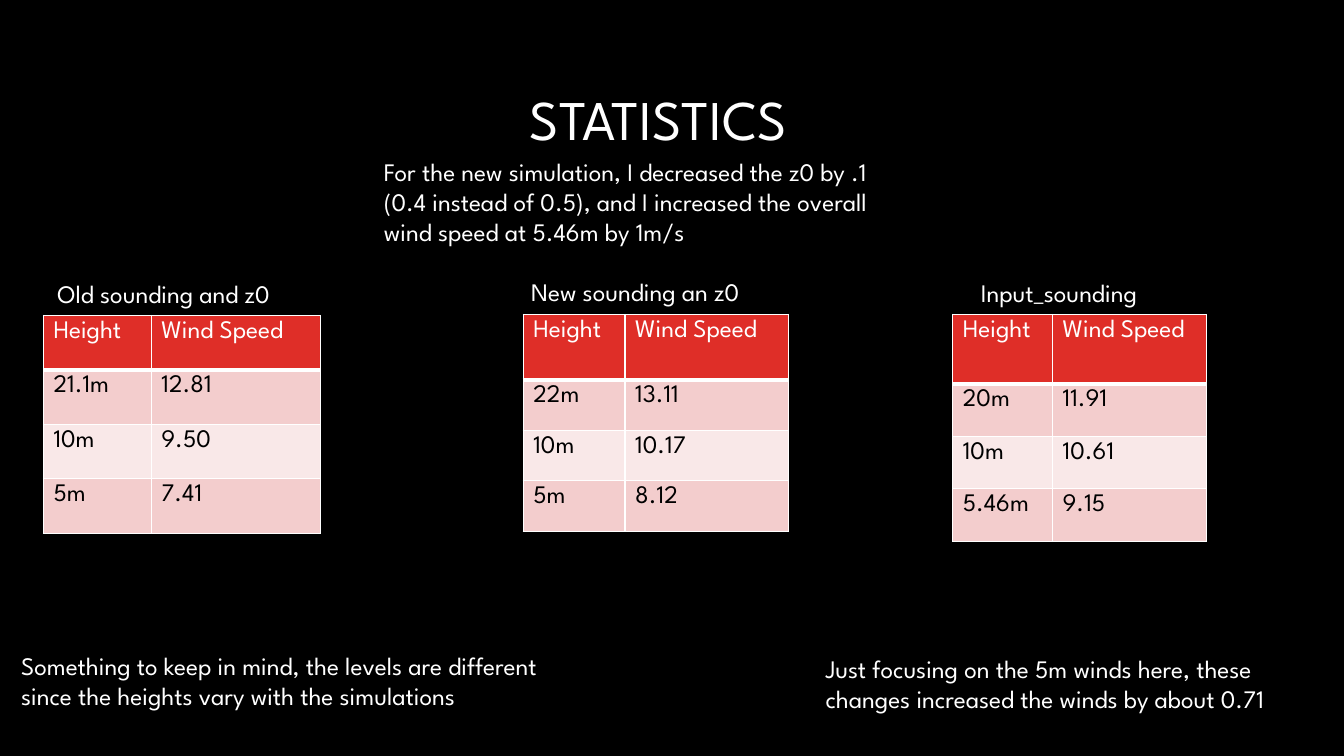
"""Build a slide comparing wind speeds from three soundings."""
from dataclasses import dataclass

import pptx
import pptx.dml.color
import pptx.enum.text
import pptx.oxml
import pptx.oxml.ns
import pptx.util


@dataclass(frozen=True)
class Theme:
    """Hold the colours, font and type sizes."""
    font: str = "League Spartan"
    title: int = 40
    body: int = 18
    back: str = "000000"
    light: str = "FFFFFF"
    dark: str = "000000"
    header: str = "DF2E28"
    bands: tuple = ("F3CDCD", "F9E8E8")


THEME = Theme()
WIDTH = pptx.util.Inches(13.33)
HEIGHT = pptx.util.Inches(7.5)
ALIGN = pptx.enum.text.PP_ALIGN
ANCHOR = pptx.enum.text.MSO_ANCHOR
FIT = pptx.enum.text.MSO_AUTO_SIZE.SHAPE_TO_FIT_TEXT

CAPTIONS = [
    ("Old sounding and z0", (3.53, 36.13, 21.6, 5.33)),
    ("New sounding an z0", (38.78, 35.87, 19.88, 5.33)),
    ("Input_sounding", (72.24, 36, 16.28, 5.33)),
]
NOTES = [
    ("For the new simulation, I decreased the z0 by .1 (0.4 instead of 0.5), "
     "and I increased the overall wind speed at 5.46m by 1m/s",
     (27.83, 20, 39.83, 13.47)),
    ("Something to keep in mind, the levels are different since the heights "
     "vary with the simulations", (0.83, 85.33, 41.56, 13.47)),
    ("Just focusing on the 5m winds here, these changes increased the winds "
     "by about 0.71", (60.69, 85.73, 39.31, 13.47)),
]
HEADINGS = ("Height", "Wind Speed")
TABLES = [
    ((3.23, 41.73), (8.03, 12.6), (7.2, 7.2),
     [("21.1m", "12.81"), ("10m", "9.50"), ("5m", "7.41")]),
    ((38.93, 41.6), (7.58, 12.15), (8.67, 6.67),
     [("22m", "13.11"), ("10m", "10.17"), ("5m", "8.12")]),
    ((70.89, 41.6), (7.43, 11.48), (9.2, 6.93),
     [("20m", "11.91"), ("10m", "10.61"), ("5.46m", "9.15")]),
]


def across(percent):
    """Return a share of the slide width."""
    return int(WIDTH * percent / 100)


def down(percent):
    """Return a share of the slide height."""
    return int(HEIGHT * percent / 100)


def rgb(code):
    """Return a colour from its hex code."""
    return pptx.dml.color.RGBColor.from_string(code)


def add_run(p, text, size, color):
    """Add one styled run to a paragraph."""
    r = p.add_run()
    r.text = text
    r.font.name = THEME.font
    r.font.size = pptx.util.Pt(size)
    r.font.color.rgb = rgb(color)


def add_text(s, text, box, size=THEME.body):
    """Add a wrapped text box and return its text frame."""
    x, y, w, h = box
    sp = s.shapes.add_textbox(across(x), down(y), across(w), down(h))
    tf = sp.text_frame
    tf.word_wrap = True
    add_run(tf.paragraphs[0], text, size, THEME.light)
    return tf


def add_title(s, text, box):
    """Add the right-aligned slide title."""
    tf = add_text(s, text, box, THEME.title)
    tf.vertical_anchor = ANCHOR.MIDDLE
    tf.paragraphs[0].alignment = ALIGN.RIGHT
    tf.paragraphs[0].line_spacing = 0.9


def add_label(s, text, box):
    """Add a text box that grows with its text."""
    add_text(s, text, box).auto_size = FIT


def set_borders(cell, bottom):
    """Draw the four borders of a cell."""
    tcPr = cell._tc.get_or_add_tcPr()
    for side, points in (("L", 1), ("R", 1), ("T", 1), ("B", bottom)):
        tcPr.append(pptx.oxml.parse_xml(
            f'<a:ln{side} {pptx.oxml.ns.nsdecls("a")} w="{pptx.util.Pt(points)}">'
            f'<a:solidFill><a:srgbClr val="{THEME.light}"/></a:solidFill>'
            f'</a:ln{side}>'))


def fill_cell(cell, text, row):
    """Write and colour a cell according to its row."""
    is_header = row == 0
    set_borders(cell, 3 if is_header else 1)
    cell.fill.solid()
    cell.fill.fore_color.rgb = rgb(
        THEME.header if is_header else THEME.bands[(row - 1) % 2])
    add_run(cell.text_frame.paragraphs[0], text, THEME.body,
            THEME.light if is_header else THEME.dark)


def add_wind_table(s, corner, widths, heights, readings):
    """Add a table of wind speed by height."""
    rows = [HEADINGS, *readings]
    row_heights = [heights[0]] + [heights[1]] * len(readings)
    table = s.shapes.add_table(
        len(rows), len(HEADINGS), across(corner[0]), down(corner[1]),
        across(sum(widths)), down(sum(row_heights))).table
    for column, width in zip(table.columns, widths):
        column.width = across(width)
    for i, (values, height) in enumerate(zip(rows, row_heights)):
        table.rows[i].height = down(height)
        for j, value in enumerate(values):
            fill_cell(table.cell(i, j), value, i)


def main():
    """Build and save the slide."""
    prs = pptx.Presentation()
    prs.slide_width, prs.slide_height = WIDTH, HEIGHT
    s = prs.slides.add_slide(prs.slide_layouts[6])
    s.background.fill.solid()
    s.background.fill.fore_color.rgb = rgb(THEME.back)
    add_title(s, "STATISTICS", (-11.4, 6.8, 70.67, 18.8))
    for table in TABLES:
        add_wind_table(s, *table)
    for text, box in CAPTIONS + NOTES:
        add_label(s, text, box)
    prs.save("out.pptx")


if __name__ == "__main__":
    main()
